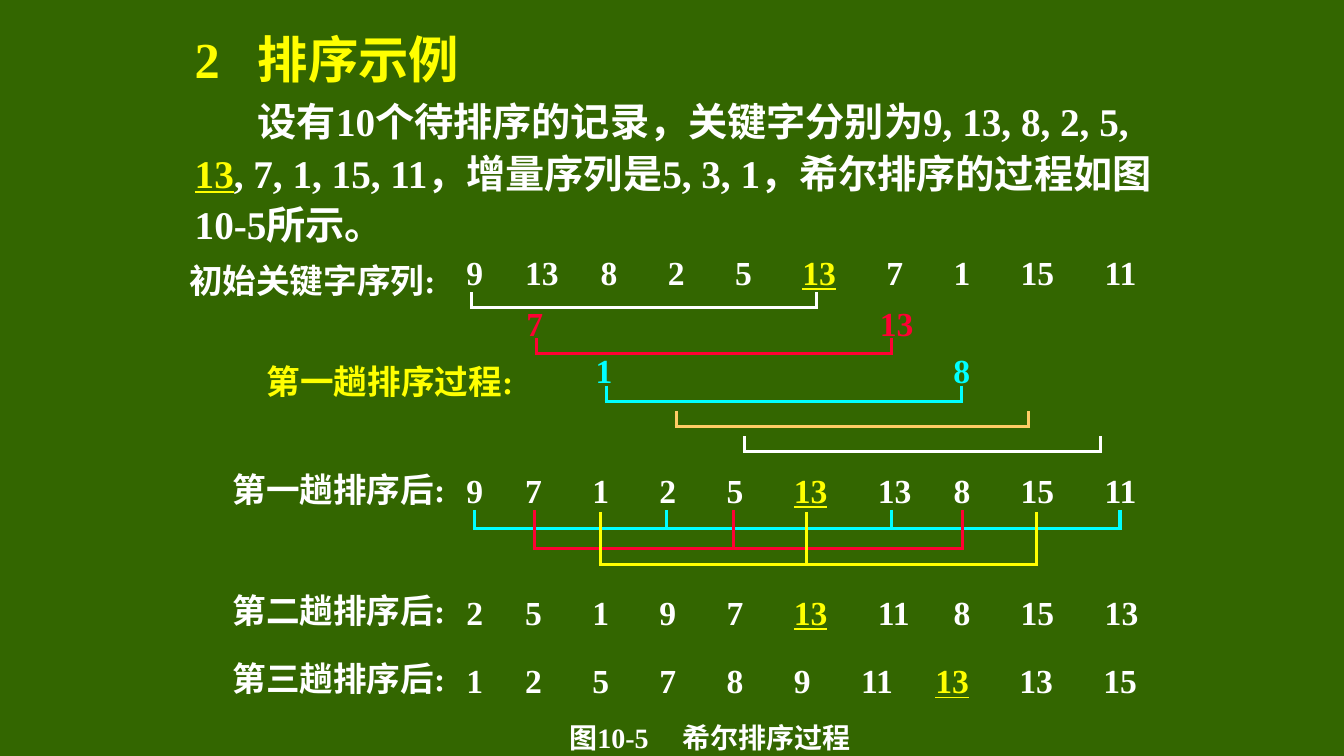
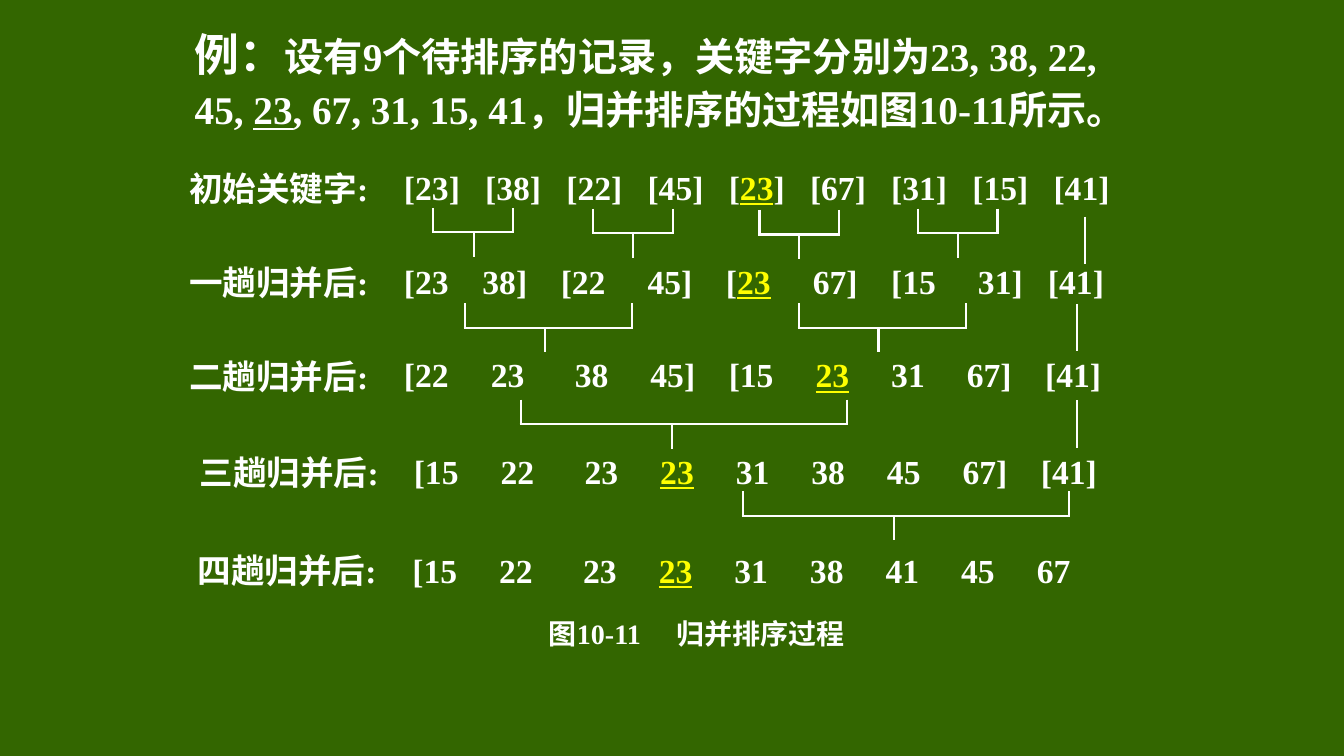
from dataclasses import dataclass

from lxml import etree
from pptx import Presentation
from pptx.dml.color import RGBColor
from pptx.enum.shapes import MSO_CONNECTOR
from pptx.enum.text import MSO_ANCHOR, PP_ALIGN
from pptx.oxml.ns import qn
from pptx.util import Pt

GREEN = RGBColor(0x33, 0x66, 0x00)
WHITE = RGBColor(0xFF, 0xFF, 0xFF)
YELLOW = RGBColor(0xFF, 0xFF, 0x00)
RED = RGBColor(0xFF, 0x00, 0x33)
CYAN = RGBColor(0x00, 0xFF, 0xFF)
ORANGE = RGBColor(0xFF, 0xCC, 0x66)

LATIN_FONT = "Times New Roman"
ASIAN_FONT = "Noto Sans CJK SC"
STRAIGHT = MSO_CONNECTOR.STRAIGHT
TOP, MIDDLE = MSO_ANCHOR.TOP, MSO_ANCHOR.MIDDLE
LEFT, CENTER = PP_ALIGN.LEFT, PP_ALIGN.CENTER

BODY_LEFT, BODY_TOP = 132, 12
BODY_INDENT = 45
LABEL_WIDTH, KEYS_WIDTH, CAPTION_WIDTH, NUMBER_WIDTH = 215, 540, 300, 60
TEXT_HEIGHT = 31
BRACKET_DEPTH = 17.5


@dataclass(frozen=True)
class Span:
    text: str
    size: float = 24
    color: RGBColor = WHITE
    underline: bool = False


@dataclass(frozen=True)
class KeyRow:
    """A label and its keys; asterisks enclose a marked key, stops place the keys."""
    label: str
    label_left: float
    label_middle: float
    keys: str
    keys_left: float
    keys_middle: float
    stops: tuple[float, ...]


@dataclass(frozen=True)
class Comb:
    """A horizontal bar with teeth rising from it."""
    teeth: tuple[float, ...]
    bar: float
    height: float
    color: RGBColor = WHITE
    weight: float = 2.25


@dataclass(frozen=True)
class Merge:
    """A two-toothed bracket with a stem below its bar."""
    left: float
    right: float
    bar: float
    stem: float


@dataclass(frozen=True)
class MovedKey:
    text: str
    center: float
    middle: float
    color: RGBColor


AFTER_STOPS = (42, 90, 138, 186, 234, 294, 348, 396, 456)
SHELL_ROWS = (
    KeyRow("初始关键字序列:", 128, 200, "9 13 8 2 5 *13* 7 1 15 11", 326, 194,
           (42, 96, 144, 192, 240, 300, 348, 396, 456)),
    KeyRow("第一趟排序后:", 159, 349, "9 7 1 2 5 *13* 13 8 15 11", 326, 350, AFTER_STOPS),
    KeyRow("第二趟排序后:", 159, 435.5, "2 5 1 9 7 *13* 11 8 15 13", 326, 437, AFTER_STOPS),
    KeyRow("第三趟排序后:", 159, 484.5, "1 2 5 7 8 9 11 *13* 13 15", 326, 486,
           (42, 90, 138, 186, 234, 282, 335, 395, 455)),
)
SHELL_COMBS = (
    Comb((337, 583), 219.6, 11, WHITE),
    Comb((383, 637), 252.6, 11, RED),
    Comb((433, 687), 286.5, 11, CYAN),
    Comb((483, 734.5), 304.5, 11, ORANGE),
    Comb((532, 786), 322.5, 11, WHITE),
    Comb((339, 476, 637, 800), 377.3, 13, CYAN),
    Comb((381.6, 524.2, 687.6), 391.6, 27, RED),
    Comb((429, 576, 740.4), 403.2, 37.5, YELLOW),
)
MOVED_KEYS = (
    MovedKey("7", 382, 231, RED),
    MovedKey("13", 640.5, 231, RED),
    MovedKey("1", 431.5, 264, CYAN),
    MovedKey("8", 687, 264, CYAN),
)

MERGE_ROWS = (
    KeyRow("初始关键字:", 128, 134.5,
           "[23] [38] [22] [45] [*23*] [67] [31] [15] [41]", 281.5, 133.5,
           tuple(58 * step for step in range(1, 9))),
    KeyRow("一趟归并后:", 128, 201.5, "[23 38] [22 45] [*23* 67] [15 31] [41]", 281.5, 200.5,
           (56, 112, 174, 230, 292, 348, 410, 460)),
    KeyRow("二趟归并后:", 128, 268.5, "[22 23 38 45] [15 *23* 31 67] [41]", 281.5, 267.5,
           (62, 122, 176, 232, 294, 348, 402, 458)),
    KeyRow("三趟归并后:", 135.5, 337.5, "[15 22 23 *23* 31 38 45 67] [41]", 288.5, 336.5,
           (62, 122, 176, 230, 284, 338, 392, 448)),
    KeyRow("四趟归并后:", 134, 407, "[15 22 23 *23* 31 38 41 45 67", 287.5, 407,
           (62, 122, 176, 230, 284, 338, 392, 446)),
)
MERGES = (
    Merge(309.5, 366.5, 166, 338.5),
    Merge(423.5, 480.5, 166.5, 452),
    Merge(542.5, 599.5, 167.5, 571),
    Merge(655.5, 712.5, 166.5, 684),
    Merge(332, 451.5, 234, 389.5),
    Merge(570.5, 690, 234, 627.5),
    Merge(372, 605, 303, 480),
    Merge(530.5, 763.5, 368.5, 638.5),
)
CARRIED_LINES = ((775, 154.8), (769, 217), (769, 286))
CARRIED_LENGTH = 34


def write_spans(para, spans: list[Span], stops: tuple[float, ...] = ()) -> None:
    if stops:
        tab_list = etree.SubElement(para._p.get_or_add_pPr(), qn("a:tabLst"))
        for stop in stops:
            etree.SubElement(tab_list, qn("a:tab"), pos=str(int(Pt(stop))), algn="l")
    for span in spans:
        run = para.add_run()
        run.text = span.text
        run.font.name = LATIN_FONT
        run.font.size = Pt(span.size)
        run.font.bold = True
        run.font.underline = span.underline
        run.font.color.rgb = span.color
        etree.SubElement(run._r.get_or_add_rPr(), qn("a:ea"), typeface=ASIAN_FONT)


def add_box(slide, left: float, top: float, width: float, height: float, anchor):
    """Add an empty wrapping text box and return its text frame."""
    frame = slide.shapes.add_textbox(Pt(left), Pt(top), Pt(width), Pt(height)).text_frame
    frame.word_wrap = True
    frame.vertical_anchor = anchor
    return frame


def add_text(slide, left: float, middle: float, width: float, spans: list[Span],
             stops: tuple[float, ...] = (), align=LEFT) -> None:
    """Add one line of text centred vertically on middle."""
    frame = add_box(slide, left, middle - TEXT_HEIGHT / 2, width, TEXT_HEIGHT, MIDDLE)
    para = frame.paragraphs[0]
    write_spans(para, spans, stops)
    para.alignment = align


def add_body(slide, width: float, height: float):
    return add_box(slide, BODY_LEFT, BODY_TOP, width, height, TOP)


def add_row(slide, row: KeyRow) -> None:
    add_text(slide, row.label_left, row.label_middle, LABEL_WIDTH, [Span(row.label)])
    parts = row.keys.replace(" ", "\t").split("*")
    spans = [Span(part, color=YELLOW if index % 2 else WHITE, underline=index % 2 == 1)
             for index, part in enumerate(parts)]
    add_text(slide, row.keys_left, row.keys_middle, KEYS_WIDTH, spans, row.stops)


def add_caption(slide, left: float, middle: float, text: str, stop: float) -> None:
    add_text(slide, left, middle, CAPTION_WIDTH, [Span(text, 20)], (stop,))


def add_line(slide, x1: float, y1: float, x2: float, y2: float,
             color: RGBColor = WHITE, weight: float = 1.5) -> None:
    line = slide.shapes.add_connector(STRAIGHT, Pt(x1), Pt(y1), Pt(x2), Pt(y2))
    line.line.color.rgb = color
    line.line.width = Pt(weight)
    etree.SubElement(line._element.spPr, qn("a:effectLst"))


def add_comb(slide, comb: Comb) -> None:
    overhang = comb.weight / 2
    add_line(slide, comb.teeth[0] - overhang, comb.bar, comb.teeth[-1] + overhang, comb.bar,
             comb.color, comb.weight)
    for tooth in comb.teeth:
        add_line(slide, tooth, comb.bar - comb.height, tooth, comb.bar, comb.color, comb.weight)


def add_merge(slide, merge: Merge) -> None:
    add_comb(slide, Comb((merge.left, merge.right), merge.bar, BRACKET_DEPTH, weight=1.5))
    add_line(slide, merge.stem, merge.bar, merge.stem, merge.bar + BRACKET_DEPTH)


def build_shell_sort(slide) -> None:
    frame = add_body(slide, 702, 173)
    title = frame.paragraphs[0]
    write_spans(title, [Span("2\t排序示例", 36, YELLOW)], (BODY_INDENT,))
    title.line_spacing = 1.1
    para = frame.add_paragraph()
    write_spans(para, [
        Span("设有10个待排序的记录，关键字分别为9, 13, 8, 2, 5, ", 28),
        Span("13", 28, YELLOW, True),
        Span(", 7, 1, 15, 11，增量序列是5, 3, 1，希尔排序的过程如图10-5所示。", 28),
    ])
    para.line_spacing = 1.1
    para.space_before = Pt(3)
    para._p.get_or_add_pPr().set("indent", str(int(Pt(BODY_INDENT))))

    for row in SHELL_ROWS:
        add_row(slide, row)
    add_text(slide, 183.5, 272, LABEL_WIDTH, [Span("第一趟排序过程:", color=YELLOW)])
    for key in MOVED_KEYS:
        add_text(slide, key.center - NUMBER_WIDTH / 2, key.middle, NUMBER_WIDTH,
                 [Span(key.text, color=key.color)], align=CENTER)
    for comb in SHELL_COMBS:
        add_comb(slide, comb)
    add_caption(slide, 399.5, 526.5, "图10-5\t希尔排序过程", 81)


def build_merge_sort(slide) -> None:
    para = add_body(slide, 694, 88).paragraphs[0]
    write_spans(para, [
        Span("例：", 32),
        Span("设有9个待排序的记录，关键字分别为23, 38, 22, 45, ", 28),
        Span("23", 28, underline=True),
        Span(", 67, 31, 15, 41，归并排序的过程如图10-11所示。", 28),
    ])
    para.line_spacing = 1.1

    for row in MERGE_ROWS:
        add_row(slide, row)
    for merge in MERGES:
        add_merge(slide, merge)
    for x, top in CARRIED_LINES:
        add_line(slide, x, top, x, top + CARRIED_LENGTH)
    add_caption(slide, 385, 452.5, "图10-11\t归并排序过程", 91)


def main() -> None:
    deck = Presentation()
    deck.slide_width, deck.slide_height = Pt(960), Pt(540)
    background = deck.slide_master.background.fill
    background.solid()
    background.fore_color.rgb = GREEN
    blank = deck.slide_layouts[6]
    for build in (build_shell_sort, build_merge_sort):
        build(deck.slides.add_slide(blank))
    deck.save("out.pptx")


if __name__ == "__main__":
    main()
